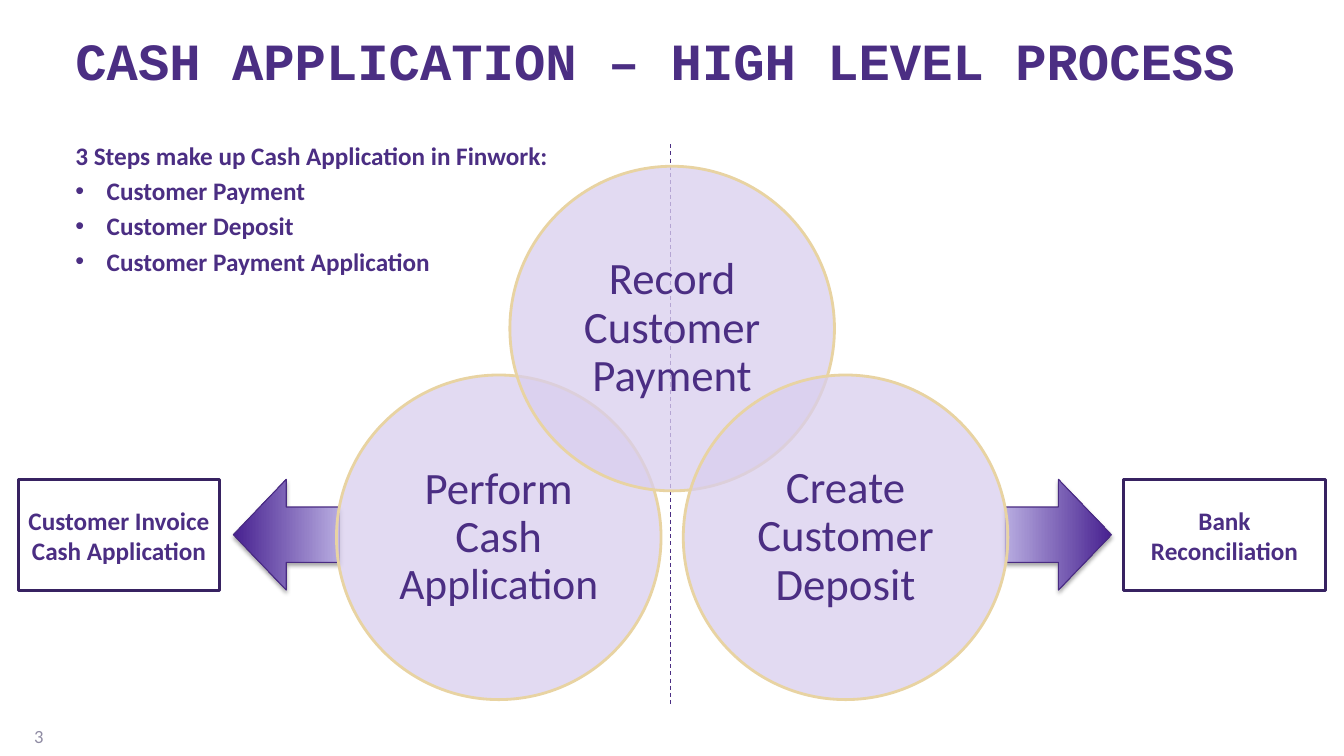
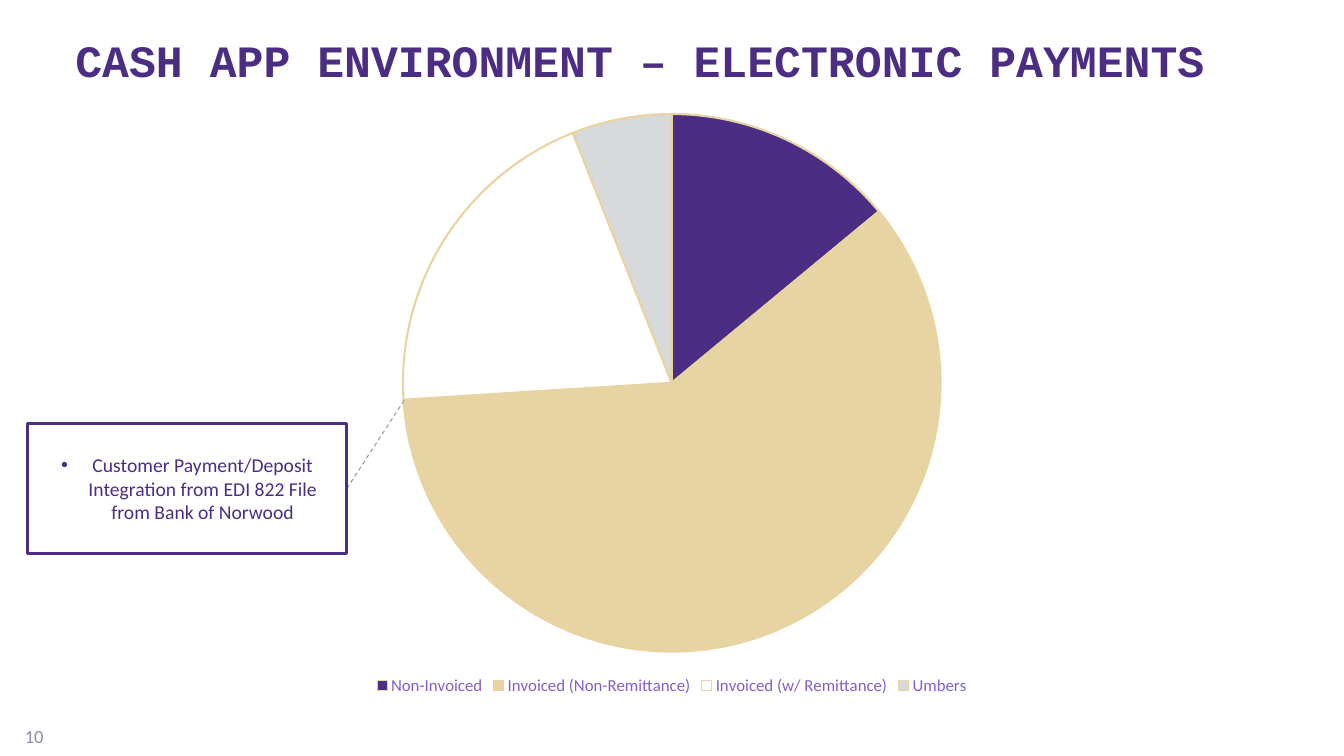
from lxml import etree
from pptx import Presentation
from pptx import util as u
from pptx.chart.data import CategoryChartData
from pptx.dml.color import RGBColor
from pptx.enum import chart as charts, dml, shapes, text
from pptx.oxml import parse_xml
from pptx.oxml.ns import nsdecls, qn

# Shared look
PURPLE, GOLD, WHITE = "4B2E83", "E8D3A2", "FFFFFF"
BODY, HEAD = "Calibri", "Courier New"
LEFT, CENTER, RIGHT = (text.PP_ALIGN.LEFT, text.PP_ALIGN.CENTER,
                       text.PP_ALIGN.RIGHT)
SHAPE = shapes.MSO_SHAPE
INDENT = 0.79


def rgb(code):
    return RGBColor.from_string(code)


def place(*sizes):
    return [u.Cm(size) for size in sizes]


# Text
def bullet(para):
    props = para._p.get_or_add_pPr()
    props.set("marL", str(u.Cm(INDENT)))
    props.set("indent", str(-u.Cm(INDENT)))
    for tag, key, value in (("a:buFont", "typeface", "Arial"),
                            ("a:buChar", "char", "•")):
        etree.SubElement(props, qn(tag)).set(key, value)


def write(shape, lines, size=18, font=BODY, color=PURPLE, bold=False,
          align=CENTER, anchor=text.MSO_ANCHOR.MIDDLE, pad=0.25, top=0.13,
          marks=(), gap=0, leading=None):
    """Each line is a string or a list of (string, size) runs."""
    frame = shape.text_frame
    frame.word_wrap = True
    frame.vertical_anchor = anchor
    frame.margin_left = frame.margin_right = u.Cm(pad)
    frame.margin_top = frame.margin_bottom = u.Cm(top)
    for i, line in enumerate(lines):
        para = frame.add_paragraph() if i else frame.paragraphs[0]
        if i in marks:
            bullet(para)
        para.alignment = align
        if leading:
            para.line_spacing = leading
        if i and gap:
            para.space_before = u.Pt(gap)
        for words, points in [(line, size)] if isinstance(line, str) else line:
            run = para.add_run()
            run.text = words
            run.font.size = u.Pt(points)
            run.font.name = font
            run.font.bold = bold
            run.font.color.rgb = rgb(color)


def label(slide, box, lines, **style):
    write(slide.shapes.add_textbox(*place(*box)), lines, **style)


# Shapes
def draw(slide, kind, box, line, width=2, fill=WHITE):
    shape = slide.shapes.add_shape(kind, *place(*box))
    shape.shadow.inherit = False
    shape.fill.solid()
    shape.fill.fore_color.rgb = rgb(fill)
    shape.line.color.rgb = rgb(line)
    shape.line.width = u.Pt(width)
    return shape


def circle(slide, left, top, line):
    shape = draw(slide, SHAPE.OVAL, (left, top, 8.18, 8.18), GOLD,
                 fill="D9CEEE")
    tint = shape.fill._xPr.find(qn("a:solidFill"))[0]
    etree.SubElement(tint, qn("a:alpha")).set("val", "75000")
    write(shape, [line], size=32, pad=0.33, top=0.33, leading=0.9)


def arrow(slide, kind, left, tints):
    shape = draw(slide, kind, (left, 12.08, 2.67, 2.79), "492B82", 0.75)
    shape.fill.gradient()
    shape.fill.gradient_angle = 0
    for stop, tint in zip(shape.fill.gradient_stops, tints):
        stop.color.rgb = rgb(tint)
    effects = shape._element.spPr.find(qn("a:effectLst"))
    effects.append(parse_xml(
        f'<a:outerShdw {nsdecls("a")} blurRad="{u.Pt(3.1)}" '
        f'dist="{u.Pt(1.8)}" dir="5400000" rotWithShape="0">'
        '<a:srgbClr val="000000"><a:alpha val="35000"/></a:srgbClr>'
        '</a:outerShdw>'))


def dash(slide, ends, color):
    line = slide.shapes.add_connector(shapes.MSO_CONNECTOR.STRAIGHT,
                                      *place(*ends))
    line.line.color.rgb = rgb(color)
    line.line.width = u.Pt(0.75)
    line.line.dash_style = dml.MSO_LINE.DASH
    etree.SubElement(line._element.spPr, qn("a:effectLst"))
    return line


# Pie chart
def pie(slide, box, parts):
    data = CategoryChartData()
    data.categories = [name for name, _, _ in parts]
    data.add_series("Series 1", [value for _, value, _ in parts])
    chart = slide.shapes.add_chart(charts.XL_CHART_TYPE.PIE, *place(*box),
                                   data).chart
    chart.has_title = False
    chart.font.name, chart.font.size = BODY, u.Pt(10)
    chart.font.color.rgb = rgb(PURPLE)
    chart.has_legend = True
    key = chart.legend
    key.position = charts.XL_LEGEND_POSITION.BOTTOM
    key.include_in_layout = False
    key.font.name, key.font.size = BODY, u.Pt(12)
    key.font.color.rgb = rgb("825FC7")
    plot = chart.plots[0]
    plot.vary_by_categories = True
    for i, (_, _, color) in enumerate(parts):
        look = plot.series[0].points[i].format
        look.fill.solid()
        look.fill.fore_color.rgb = rgb(color)
        look.line.color.rgb = rgb(GOLD)
        look.line.width = u.Pt(1.5)
    # Fixed plot area above the legend
    area = chart._chartSpace.find(".//" + qn("c:plotArea"))
    for old in area.findall(qn("c:layout")):
        area.remove(old)
    rules = [("layoutTarget", "inner"), ("xMode", "edge"), ("yMode", "edge"),
             ("x", 0.2), ("y", 0.02), ("w", 0.6), ("h", 0.9)]
    layout = etree.Element(qn("c:layout"))
    manual = etree.SubElement(layout, qn("c:manualLayout"))
    for tag, value in rules:
        etree.SubElement(manual, qn("c:" + tag)).set("val", str(value))
    area.insert(0, layout)


# Slides
def start(deck, title, size, number):
    slide = deck.slides.add_slide(deck.slide_layouts[6])
    label(slide, (0, 18.03, 1.35, 1.02), [number], size=13.3,
          color="908CA4", align=RIGHT)
    label(slide, (1.65, 0.69, 30.28, 1.6), [title], size=size, font=HEAD,
          bold=True, align=LEFT)
    return slide


def process(deck):
    slide = start(deck, "CASH APPLICATION – HIGH LEVEL PROCESS", 37.3, "3")
    dash(slide, (16.89, 3.63, 16.89, 17.81), PURPLE)
    tints = ["472190", "B7ABE0"]
    arrow(slide, SHAPE.LEFT_ARROW, 5.88, tints)
    arrow(slide, SHAPE.RIGHT_ARROW, 25.34, tints[::-1])

    # Overlapping steps
    steps = ([("Perform Cash ", 32), ("Application", 31)],
             "Record Customer Payment", "Create Customer Deposit")
    for i, step in enumerate(steps):
        circle(slide, 8.48 + 4.37 * i, 4.19 if i == 1 else 9.45, step)

    # Outcomes
    for left, words in ((28.32, "Bank Reconciliation"),
                        (0.46, "Customer Invoice Cash Application")):
        card = draw(slide, SHAPE.RECTANGLE, (left, 12.09, 5.08, 2.79),
                    "372261")
        write(card, [words], bold=True, pad=0.15)

    label(slide, (1.65, 3.4, 16.94, 3.78),
          ["3 Steps make up Cash Application in Finwork:",
           "Customer Payment", "Customer Deposit",
           "Customer Payment Application"],
          bold=True, align=LEFT, anchor=text.MSO_ANCHOR.TOP,
          marks=(1, 2, 3), gap=3.6)


def payments(deck):
    slide = start(deck, "CASH APP ENVIRONMENT – ELECTRONIC PAYMENTS", 32,
                  "10")
    pie(slide, (5.64, 2.57, 22.58, 15.06),
        [("Non-Invoiced", 14, PURPLE),
         ("Invoiced (Non-Remittance)", 60, GOLD),
         ("Invoiced (w/ Remittance)", 20, WHITE),
         ("Umbers", 6, "D8D9DA")])

    # Callout
    line = dash(slide, (8.74, 12.31, 10.19, 10.08), "999999")
    card = draw(slide, SHAPE.RECTANGLE, (0.69, 10.67, 8.05, 3.28), PURPLE)
    write(card, ["Customer Payment/Deposit Integration from EDI 822 File "
                 "from Bank of Norwood"], size=14, marks=(0,))
    line.begin_connect(card, 3)


def main():
    deck = Presentation()
    deck.slide_width, deck.slide_height = place(33.87, 19.05)
    process(deck)
    payments(deck)
    deck.save("out.pptx")


if __name__ == "__main__":
    main()
